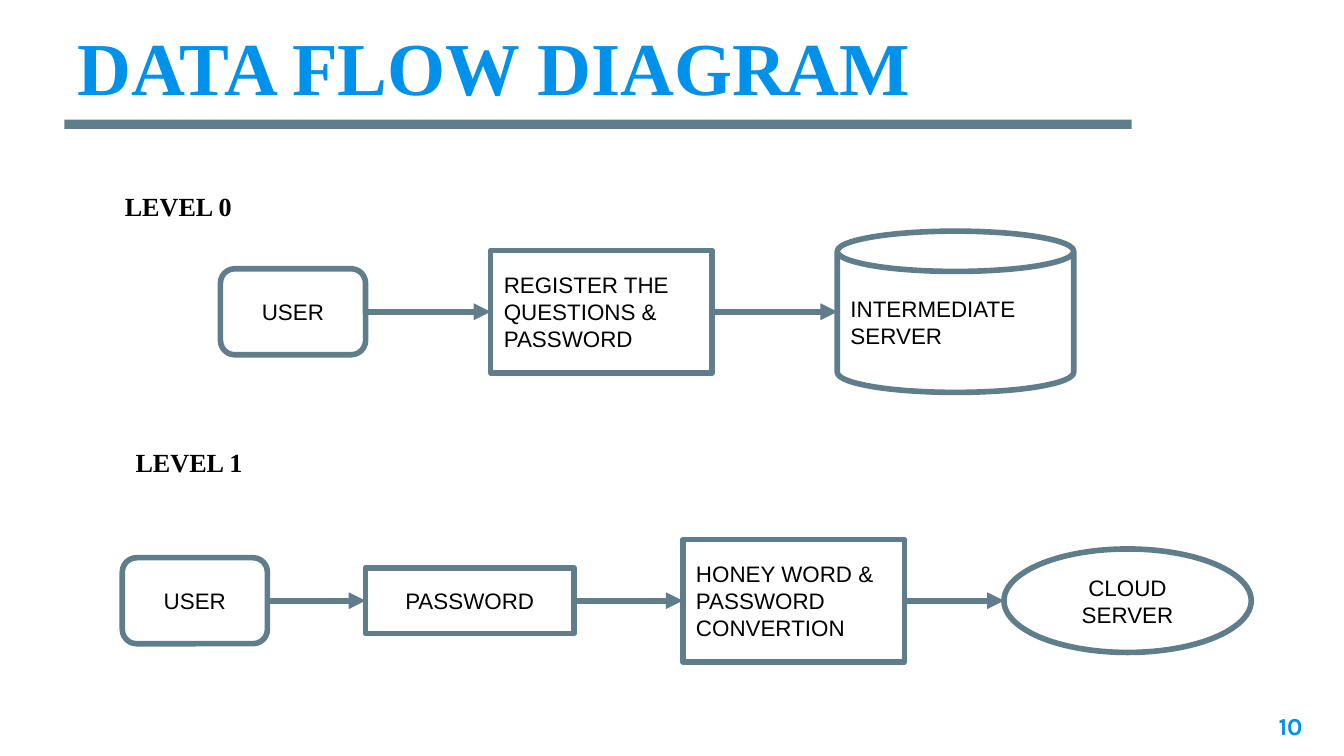
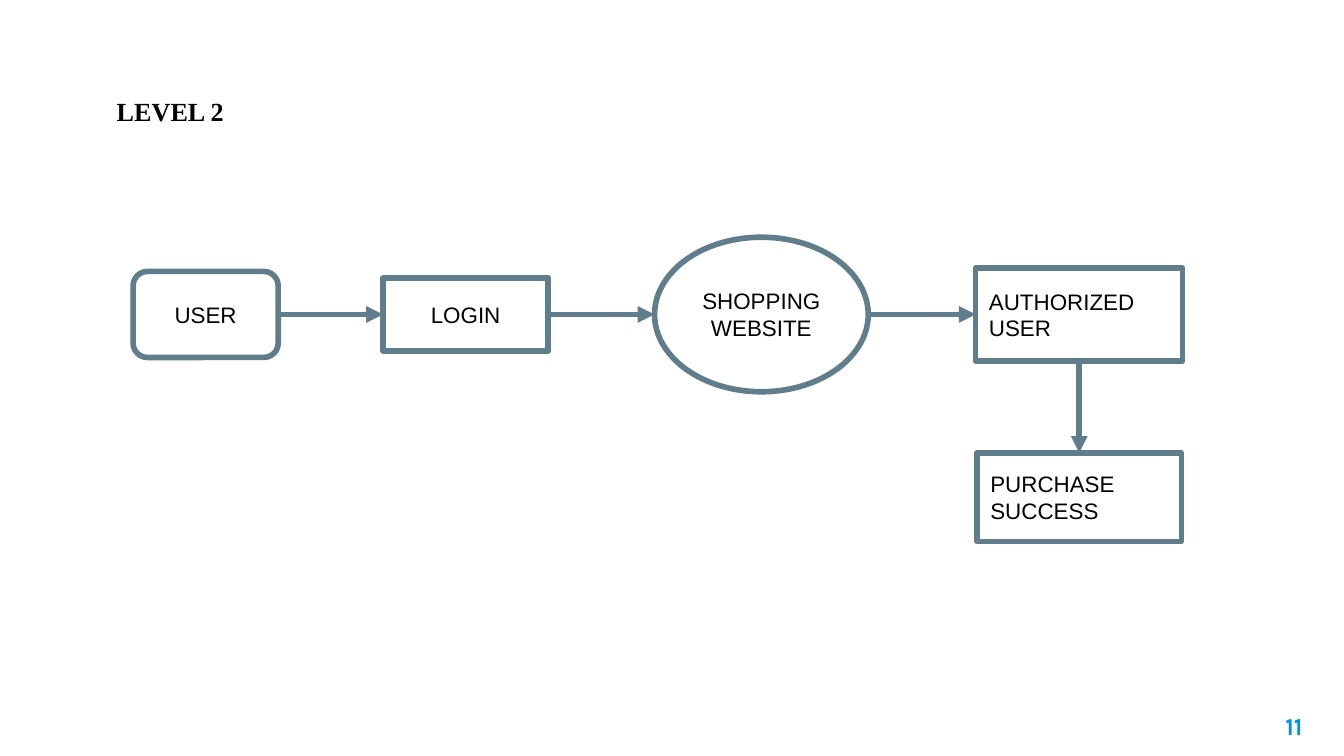
from dataclasses import dataclass
from itertools import pairwise

from lxml.etree import SubElement
from pptx import Presentation
from pptx.dml.color import RGBColor
from pptx.enum.shapes import MSO_CONNECTOR as Link, MSO_SHAPE as Kind
from pptx.enum.text import MSO_ANCHOR as Anchor, MSO_AUTO_SIZE as Fit, PP_ALIGN as Align
from pptx.oxml.ns import qn
from pptx.shapes.base import BaseShape
from pptx.slide import Slide
from pptx.util import Inches, Pt

# Slide grid: a 16:9 page, 100 columns wide, square cells
WIDE = Inches(10)
HIGH = WIDE * 9 // 16
CELL = WIDE // 100

# Shared look
BLUE = RGBColor(0x00, 0x91, 0xEA)
SLATE = RGBColor(0x60, 0x7D, 0x8B)
BLACK = RGBColor(0x00, 0x00, 0x00)
SANS, SERIF, ROUND = "Arial", "Times New Roman", "Karla"
STROKE = Pt(3)


@dataclass(frozen=True)
class Node:
    text: str
    left: float
    width: float
    height: float
    kind: Kind = Kind.RECTANGLE
    align: Align = Align.LEFT

    @property
    def right(self) -> float:
        return self.left + self.width

    @property
    def center(self) -> float:
        return self.left + self.width / 2


@dataclass(frozen=True)
class Flow:
    label: str
    left: float
    top: float
    mid: float
    nodes: tuple[Node, ...]


def cells(*counts: float) -> list[int]:
    return [round(count * CELL) for count in counts]


def write(shape: BaseShape, text: str, *, size: float = 12, font: str = SANS,
          color: RGBColor = BLACK, bold: bool = False, align: Align = Align.LEFT,
          anchor: Anchor = Anchor.TOP, fit: Fit = Fit.NONE) -> None:
    frame = shape.text_frame
    frame.word_wrap = True
    frame.auto_size = fit
    frame.vertical_anchor = anchor
    para = frame.paragraphs[0]
    para.alignment = align
    run = para.add_run()
    run.text = text
    style = run.font
    style.name, style.size, style.bold = font, Pt(size), bold
    style.color.rgb = color


def add_node(slide: Slide, node: Node, mid: float) -> None:
    top = mid - node.height / 2
    shape = slide.shapes.add_shape(
        node.kind, *cells(node.left, top, node.width, node.height))
    shape.shadow.inherit = False
    shape.fill.background()
    shape.line.color.rgb = SLATE
    shape.line.width = STROKE
    write(shape, node.text, align=node.align, anchor=Anchor.MIDDLE)


def add_arrow(slide: Slide, *ends: float) -> None:
    arrow = slide.shapes.add_connector(Link.STRAIGHT, *cells(*ends))
    arrow.line.color.rgb = SLATE
    arrow.line.width = STROKE
    SubElement(arrow.line._get_or_add_ln(), qn("a:tailEnd"), type="triangle")
    SubElement(arrow._element.spPr, qn("a:effectLst"))


def add_flow(slide: Slide, flow: Flow) -> None:
    label = slide.shapes.add_textbox(*cells(flow.left, flow.top, 16.1, 3.4))
    write(label, flow.label, size=14, font=SERIF, bold=True, fit=Fit.SHAPE_TO_FIT_TEXT)
    for node in flow.nodes:
        add_node(slide, node, flow.mid)
    for start, end in pairwise(flow.nodes):
        add_arrow(slide, start.right, flow.mid, end.left, flow.mid)


def add_title(slide: Slide, text: str) -> None:
    band = slide.shapes.add_shape(Kind.RECTANGLE, *cells(4.8, 8.9, 79.4, 0.7))
    band.shadow.inherit = False
    band.fill.solid()
    band.fill.fore_color.rgb = SLATE
    band.line.fill.background()
    title = slide.shapes.add_textbox(*cells(4.8, 1.1, 69, 7.7))
    write(title, text, size=40, font=SERIF, color=BLUE, bold=True,
          fit=Fit.SHAPE_TO_FIT_TEXT)


def add_number(slide: Slide, number: int) -> None:
    box = slide.shapes.add_textbox(*cells(91.9, 51.9, 6, 4.3))
    box.text_frame.margin_top = box.text_frame.margin_bottom = CELL
    write(box, str(number), size=13, font=ROUND, color=BLUE, bold=True,
          align=Align.RIGHT)


def user(left: float) -> Node:
    return Node("USER", left, 10.8, 6.4, Kind.ROUNDED_RECTANGLE, Align.CENTER)


# Flows by level
LEVELS = (
    Flow("LEVEL 0", 8.3, 13.7, 23.2, (
        user(16.4),
        Node("REGISTER THE QUESTIONS & PASSWORD", 36.5, 16.5, 9.1),
        Node("INTERMEDIATE SERVER", 62.3, 17.6, 12, Kind.CAN),
    )),
    Flow("LEVEL 1", 9.1, 32.7, 44.7, (
        user(9.1),
        Node("PASSWORD", 27.2, 15.5, 4.9, align=Align.CENTER),
        Node("HONEY WORD & PASSWORD CONVERTION", 50.8, 16.5, 9.1),
        Node("CLOUD SERVER", 74.7, 18.4, 7.7, Kind.OVAL, Align.CENTER),
    )),
    Flow("LEVEL 2", 7.7, 6.6, 23.4, (
        user(9.9),
        Node("LOGIN", 28.5, 12.3, 5.4, align=Align.CENTER),
        Node("SHOPPING WEBSITE", 48.7, 15.9, 11.5, Kind.OVAL, Align.CENTER),
        Node("AUTHORIZED USER", 72.6, 15.4, 6.9),
    )),
)
BOUGHT = Node("PURCHASE SUCCESS", 72.7, 15.2, 6.6)
BOUGHT_MID = 37


def main() -> None:
    deck = Presentation()
    deck.slide_width, deck.slide_height = WIDE, HIGH
    blank = deck.slide_layouts[6]
    zero, one, two = LEVELS

    # Levels 0 and 1
    first = deck.slides.add_slide(blank)
    add_title(first, "DATA FLOW DIAGRAM")
    add_flow(first, zero)
    add_flow(first, one)

    # Level 2, with its last step below the row
    second = deck.slides.add_slide(blank)
    add_flow(second, two)
    add_node(second, BOUGHT, BOUGHT_MID)
    last = two.nodes[-1]
    add_arrow(second, last.center, two.mid + last.height / 2,
              BOUGHT.center, BOUGHT_MID - BOUGHT.height / 2)

    for number, slide in enumerate(deck.slides, start=10):
        add_number(slide, number)
    deck.save("out.pptx")


if __name__ == "__main__":
    main()
